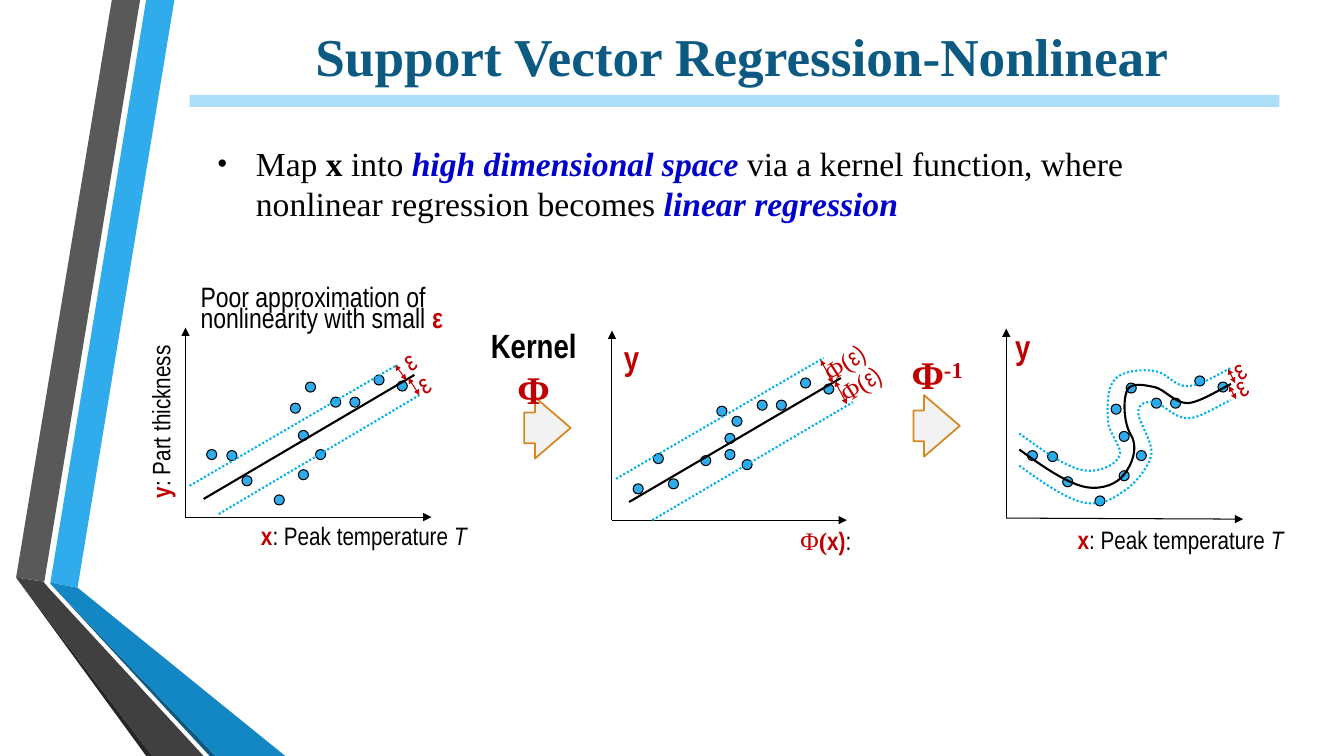
import pptx
import pptx.util
import pptx.enum.dml
import pptx.enum.shapes
import pptx.enum.text
import pptx.dml.color
import pptx.oxml
import pptx.oxml.ns

Inches, Pt = pptx.util.Inches, pptx.util.Pt
Kind, Align = pptx.enum.shapes.MSO_SHAPE, pptx.enum.text.PP_ALIGN
BLACK, RED, BLUE, SKY, CYAN = "000000", "C00000", "0000CC", "30ACEC", "00B0F0"
NARROW, TIMES = "Arial Narrow", "Times New Roman"

# Ribbon at the left edge: colour, corner points
RIBBON = [
    (SKY, [(0.5, 5.78), (0.77, 5.83), (1.73, 0), (1.45, 0)]),
    ("595959", [(1.39, 0), (1.11, 0), (0.16, 5.73), (0.44, 5.77)]),
    ("262626", [(0.16, 5.73), (1.45, 7.5), (1.51, 7.5)]),
    ("0C5A82", [(0.5, 5.79), (2.08, 7.5), (2.14, 7.5)]),
    ("1287C3", [(0.5, 5.79), (2.14, 7.5), (2.83, 7.5), (0.77, 5.83), (0.5, 5.78)]),
    ("404040", [(2.02, 7.5), (0.48, 5.83), (0.43, 5.77), (0.16, 5.73), (1.51, 7.5)]),
]

# Plots: origin, x-axis end, dot heights above the origin
DOT_X = [0.21, 0.41, 0.56, 0.88, 1.12, 1.29, 1.12, 1.04, 1.19, 1.44, 1.63, 1.87, 2.1]
RAW = [0.67, 0.66, 0.41, 0.22, 0.47, 0.67, 0.86, 1.13, 1.34, 1.19, 1.19, 1.41, 1.35]
MAPPED = [0.36, 0.66, 0.41, 0.64, 0.7, 0.6, 0.86, 1.13, 1.03, 1.19, 1.19, 1.41, 1.35]
PLOTS = [
    ((1.84, 5.13), (4.28, 5.13), RAW),
    ((9.98, 5.14), (12.33, 5.15), RAW),
    ((6.07, 5.16), (8.4, 5.16), MAPPED),
]
RISE, DOT = 1.88, 0.1

# Straight fits, their margins and the margin arrows
FITS = [((2.02, 4.95), (4.11, 3.72)), ((6.24, 4.98), (8.34, 3.75))]
MARGINS = [
    ((1.88, 4.82), (3.94, 3.62)), ((2.17, 5.1), (4.16, 3.92)),
    ((6.11, 4.75), (8.17, 3.55)), ((6.47, 5.16), (8.46, 3.99)),
]
GAPS = [
    ((3.92, 3.62), (4.03, 3.77)), ((4.05, 3.75), (4.16, 3.92)),
    ((12.18, 3.66), (12.25, 3.8)), ((12.19, 3.83), (12.26, 3.96)),
    ((8.14, 3.57), (8.26, 3.8)), ((8.28, 3.78), (8.4, 4.01)),
]

# Curved fit and margins: colour, dotted, a start and three Bezier points a piece
CURVES = [
    (CYAN, True, [
        (10.11, 4.3), (10.33, 4.46), (10.55, 4.62), (10.72, 4.66), (10.88, 4.7), (11.06, 4.62),
        (11.1, 4.53), (11.15, 4.45), (10.99, 4.3), (10.99, 4.17), (10.98, 4.04), (10.98, 3.84),
        (11.06, 3.76), (11.13, 3.68), (11.33, 3.66), (11.45, 3.68), (11.57, 3.69), (11.65, 3.84),
        (11.78, 3.83), (11.91, 3.83), (12.12, 3.69), (12.21, 3.65)]),
    (CYAN, True, [
        (10.11, 4.62), (10.33, 4.78), (10.55, 4.93), (10.72, 4.98), (10.89, 5.02), (11.01, 4.97),
        (11.12, 4.89), (11.24, 4.82), (11.39, 4.65), (11.42, 4.51), (11.44, 4.38), (11.28, 4.17),
        (11.29, 4.09), (11.29, 4), (11.37, 3.98), (11.45, 3.99), (11.53, 4), (11.65, 4.15),
        (11.78, 4.15), (11.91, 4.15), (12.12, 4), (12.21, 3.97)]),
    (BLACK, False, [
        (10.11, 4.46), (10.33, 4.62), (10.55, 4.77), (10.72, 4.82), (10.88, 4.87), (11.04, 4.82),
        (11.12, 4.74), (11.21, 4.65), (11.3, 4.46), (11.22, 4.32), (11.14, 4.19), (11.14, 3.96),
        (11.18, 3.87), (11.22, 3.79), (11.35, 3.82), (11.45, 3.84), (11.55, 3.86), (11.65, 4),
        (11.78, 4), (11.91, 3.99), (12.12, 3.85), (12.21, 3.81)]),
]
ARROWS = [(5.2, 3.94, 0.46, 0.61), (9.06, 3.92, 0.46, 0.61)]

# Text: box, settings, paragraphs of runs (text, size, font, colour, style)
TITLE = ("Support Vector Regression-Nonlinear", 38, TIMES, "0C5A82", "b")
TEMP = [[("x", 18, NARROW, RED, "b"), (": Peak temperature ", 18, NARROW, BLACK, ""),
         ("T", 18, NARROW, BLACK, "i")]]
EPS = [[("ε", 20, NARROW, RED, "")]]
PHI = [[("Φ(", 18, TIMES, RED, ""), ("ε)", 18, NARROW, RED, "")]]
AXIS = [[("y", 24, NARROW, RED, "b")]]
FREE, TILT = {"wrap": False}, {"wrap": False, "turn": 327.7}
MID = {"wrap": False, "last": {"alignment": Align.CENTER}}
TEXTS = [
    ((0.6, 3.85, 1.98, 0.4), {"turn": 270},
     [[("y", 18, NARROW, RED, "b"), (": Part thickness", 18, NARROW, BLACK, "")]]),
    ((2.49, 5.11, 2.41, 0.4), {}, TEMP),
    ((4.05, 3.59, 0.3, 0.44), TILT, EPS),
    ((3.91, 3.36, 0.3, 0.44), TILT, EPS),
    ((1.89, 2.85, 2.88, 0.54), {"last": {"line_spacing": Pt(15)}},
     [[("Poor approximation of nonlinearity with small ", 20, NARROW, BLACK, ""),
       ("ε", 20, NARROW, RED, "b")]]),
    ((10.59, 5.15, 2.35, 0.4), {}, TEMP),
    ((9.97, 3.18, 0.36, 0.5), FREE, AXIS),
    ((12.14, 3.45, 0.3, 0.44), TILT, EPS),
    ((12.16, 3.62, 0.3, 0.44), TILT, EPS),
    ((7.84, 5.16, 0.79, 0.4), {},
     [[("Φ", 18, TIMES, RED, ""), ("(", 18, TIMES, RED, "b"),
       ("x)", 18, NARROW, RED, "b"), (":", 18, NARROW, BLACK, "")]]),
    ((8.06, 3.39, 0.63, 0.4), TILT, PHI),
    ((8.22, 3.6, 0.63, 0.4), TILT, PHI),
    ((6.09, 3.29, 0.36, 0.5), FREE, AXIS),
    ((4.77, 3.17, 1.14, 0.98), MID,
     [[("Kernel", 24, NARROW, BLACK, "b")], [("Φ", 28, TIMES, RED, "b")]]),
    ((8.92, 3.43, 0.75, 0.57), MID, [[("Φ", 28, TIMES, RED, "b"), ("-1", 28, TIMES, RED, "b^")]]),
    ((1.75, 1.37, 10.64, 0.91), {"bullet": "•", "last": {"space_before": Pt(9)}},
     [[("Map ", 24, TIMES, BLACK, ""), ("x ", 24, TIMES, BLACK, "b"),
       ("into ", 24, TIMES, BLACK, ""), ("high dimensional space ", 24, TIMES, BLUE, "bi"),
       ("via a kernel function, where nonlinear regression becomes ", 24, TIMES, BLACK, ""),
       ("linear regression", 24, TIMES, BLUE, "bi")]]),
]

deck = pptx.Presentation()
deck.slide_width, deck.slide_height = Inches(13.33), Inches(7.5)
shapes = deck.slides.add_slide(deck.slide_layouts[5]).shapes

def tint(fill, code):
    fill.solid()
    fill.fore_color.rgb = pptx.dml.color.RGBColor.from_string(code)

def node(parent, tag, **attrs):
    item = pptx.oxml.parse_xml(f"<a:{tag} {pptx.oxml.ns.nsdecls('a')}/>")
    for key, value in attrs.items():
        item.set(key, str(value))
    parent.append(item)
    return item

def stroke(line, color, width, dotted=False):
    line.width = Pt(width)
    tint(line.fill, color)
    if dotted:
        line.dash_style = pptx.enum.dml.MSO_LINE.ROUND_DOT

def paint(shape, fill, edge=None, width=0.75, dotted=False):
    shape.shadow.inherit = False
    tint(shape.fill, fill) if fill else shape.fill.background()
    stroke(shape.line, edge, width, dotted) if edge else shape.line.fill.background()
    return shape

def outline(points, close):
    dots = [(Inches(x), Inches(y)) for x, y in points]
    form = shapes.build_freeform(*dots[0], scale=1.0)
    return form.add_line_segments(dots[1:], close=close).convert_to_shape()

def bend(points):
    shape = outline(points[::3], False)
    track = shape._element.find(".//" + pptx.oxml.ns.qn("a:path"))
    for leg in list(track)[1:]:
        track.remove(leg)
    for i in range(1, len(points), 3):
        leg = node(track, "cubicBezTo")
        for x, y in points[i:i + 3]:
            node(leg, "pt", x=Inches(x) - shape.left, y=Inches(y) - shape.top)
    return shape

def link(start, end, color, width, dotted=False, heads=(), size="med"):
    line = shapes.add_connector(pptx.enum.shapes.MSO_CONNECTOR.STRAIGHT, *map(Inches, start + end))
    stroke(line.line, color, width, dotted)
    for head in heads:
        node(line.line._get_or_add_ln(), head, type="triangle", w=size, len=size)
    node(line._element.spPr, "effectLst")

def write(para, text, size, face, color, style):
    run = para.add_run()
    run.text = text
    look = {"size": Pt(size), "name": face, "bold": "b" in style, "italic": "i" in style}
    for key, value in look.items():
        setattr(run.font, key, value)
    tint(run.font.fill, color)
    if "^" in style:
        run.font._element.set("baseline", "30000")

def label(box, opts, paras):
    shape = shapes.add_textbox(*map(Inches, box))
    shape.rotation = opts.get("turn", 0)
    frame = shape.text_frame
    frame.word_wrap = opts.get("wrap", True)
    frame.auto_size = pptx.enum.text.MSO_AUTO_SIZE.SHAPE_TO_FIT_TEXT
    for i, runs in enumerate(paras):
        para = frame.add_paragraph() if i else frame.paragraphs[0]
        for run in runs:
            write(para, *run)
    for key, value in opts.get("last", {}).items():
        setattr(para, key, value)
    if "bullet" in opts:
        props = para._p.get_or_add_pPr()
        props.set("marL", str(Inches(0.69)))
        props.set("indent", str(Inches(-0.38)))
        node(props, "buSzPct", val=80000)
        node(props, "buFont", typeface="Arial")
        node(props, "buChar", char=opts["bullet"])

# Ribbon, rule and title
for color, points in RIBBON:
    paint(outline(points, True), color)
paint(shapes.add_shape(Kind.RECTANGLE, *map(Inches, (1.88, 0.94, 10.81, 0.12))), "ACDEF7")
title = shapes.title
for key, value in {"left": 1.88, "top": 0.21, "width": 10.96, "height": 0.68}.items():
    setattr(title, key, Inches(value))
title.text_frame.vertical_anchor = pptx.enum.text.MSO_ANCHOR.MIDDLE
write(title.text_frame.paragraphs[0], *TITLE)
# Axes and dots
for (left, base), end, heights in PLOTS:
    for tip in (end, (left, base - RISE)):
        link((left, base), tip, BLACK, 0.75, heads=["tailEnd"])
    for x, y in zip(DOT_X, heights):
        spot = map(Inches, (left + x, base - y, DOT, DOT))
        paint(shapes.add_shape(Kind.OVAL, *spot), SKY, BLACK)
# Fits, margins and margin arrows
for color, dotted, points in CURVES:
    paint(bend(points), None, color, 1.5, dotted)
for ends in MARGINS:
    link(*ends, CYAN, 1.5, dotted=True)
for ends in FITS:
    link(*ends, BLACK, 1.5)
for ends in GAPS:
    link(*ends, RED, 0.75, heads=["headEnd", "tailEnd"], size="sm")
# Block arrows and text
for box in ARROWS:
    arrow = paint(shapes.add_shape(Kind.RIGHT_ARROW, *map(Inches, box)), "F2F2F2", "D58920", 1.25)
    arrow.adjustments[0], arrow.adjustments[1] = 0.5, 0.77
for item in TEXTS:
    label(*item)
deck.save("out.pptx")
